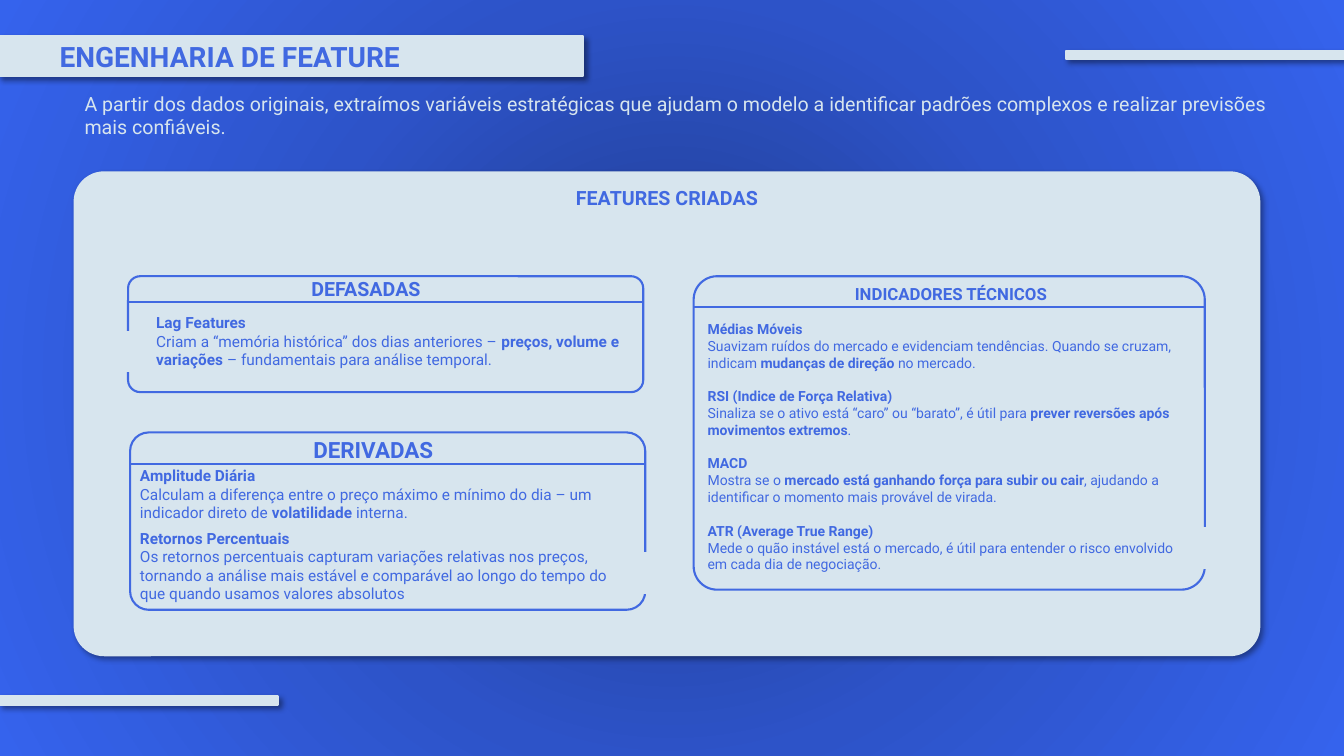
import pptx
import pptx.util
import pptx.dml.color
import pptx.enum.shapes
import pptx.enum.text
import pptx.oxml
import pptx.oxml.ns

Inches, Pt = pptx.util.Inches, pptx.util.Pt
Kind = pptx.enum.shapes.MSO_SHAPE
Align = pptx.enum.text.PP_ALIGN
Anchor = pptx.enum.text.MSO_ANCHOR
NS = pptx.oxml.ns.nsdecls("a")


class Theme:
    font = "Roboto"
    pale = pptx.dml.color.RGBColor.from_string("D7E5EE")
    blue = pptx.dml.color.RGBColor.from_string("4169E1")
    glow = [(0, "1F3B8C"), (50, "2D53C8"), (100, "3563ED")]
    title, lead, line = Pt(20), Pt(14), Pt(1.5)


SHADOW = (
    f'<a:effectLst {NS}><a:outerShdw blurRad="{Pt(4)}" dist="{Pt(3)}" dir="2700000" '
    'algn="tl" rotWithShape="0"><a:srgbClr val="000000"><a:alpha val="40000"/>'
    "</a:srgbClr></a:outerShdw></a:effectLst>"
)


def panel(kind, box, edge, round=None, shade=False):
    """Add a pale shape with the given edge colour and optional shadow."""
    shape = slide.shapes.add_shape(kind, *map(Inches, box))
    shape.fill.solid()
    shape.fill.fore_color.rgb = Theme.pale
    shape.line.color.rgb = edge
    shape.line.width = Theme.line
    if round:
        shape.adjustments[0] = round
    if shade:
        shape._element.spPr.append(pptx.oxml.parse_xml(SHADOW))
    else:
        shape.shadow.inherit = False
    return shape


def write(frame, lines, size, color=Theme.blue, gap=0, wrap=True):
    """Fill a frame; ** marks bold, and each bold line after the first gets a gap."""
    frame.word_wrap = wrap
    for i, line in enumerate(lines):
        para = frame.paragraphs[0] if i == 0 else frame.add_paragraph()
        para.font.name, para.font.size = Theme.font, size
        para.font.color.rgb = color
        if i and line.startswith("**"):
            para.space_before = Pt(gap)
        for j, part in enumerate(line.split("**")):
            if part:
                run = para.add_run()
                run.text = part
                run.font.bold = j % 2 == 1


deck = pptx.Presentation()
deck.slide_width, deck.slide_height = Inches(13.33), Inches(7.5)
slide = deck.slides.add_slide(deck.slide_layouts[5])

# Radial backdrop, placed behind the title
back = slide.shapes.add_shape(Kind.RECTANGLE, 0, 0, deck.slide_width, deck.slide_height)
back.line.fill.background()
back.shadow.inherit = False
stops = "".join(
    f'<a:gs pos="{pos * 1000}"><a:srgbClr val="{color}"/></a:gs>' for pos, color in Theme.glow
)
glow = pptx.oxml.parse_xml(
    f'<a:gradFill {NS} rotWithShape="1"><a:gsLst>{stops}</a:gsLst><a:path path="circle">'
    '<a:fillToRect l="50000" t="50000" r="50000" b="50000"/></a:path></a:gradFill>'
)
back._element.spPr.find(pptx.oxml.ns.qn("a:prstGeom")).addnext(glow)
slide.shapes._spTree.insert(2, back._element)

# Title banner
title = slide.shapes.title
title.left, title.top, title.width, title.height = map(Inches, (-0.01, 0.36, 5.79, 0.39))
title.fill.solid()
title.fill.fore_color.rgb = Theme.pale
title.line.color.rgb = Theme.pale
title.line.width = Theme.line
title._element.spPr.append(pptx.oxml.parse_xml(SHADOW))
frame = title.text_frame
frame.auto_size = pptx.enum.text.MSO_AUTO_SIZE.NONE
frame.vertical_anchor = Anchor.MIDDLE
frame.margin_left = Inches(0.6)
write(frame, ["**ENGENHARIA DE FEATURE**"], Theme.title)
frame.paragraphs[0].alignment = Align.LEFT

# Lead text, accent bars and main panel
lead = slide.shapes.add_textbox(*map(Inches, (0.74, 0.86, 12.2, 0.57)))
write(lead.text_frame, [
    "A partir dos dados originais, extraímos variáveis estratégicas que ajudam o modelo "
    "a identificar padrões complexos e realizar previsões mais confiáveis."
], Theme.lead, Theme.pale)
for left, top in ((10.57, 0.51), (0, 6.91)):
    panel(Kind.RECTANGLE, (left, top, 2.76, 0.08), Theme.pale, shade=True)
main = panel(Kind.ROUNDED_RECTANGLE, (0.74, 1.71, 11.75, 4.79), Theme.pale, 0.061, True)
main.text_frame.vertical_anchor = Anchor.TOP
write(main.text_frame, ["**FEATURES CRIADAS**"], Theme.lead)
main.text_frame.paragraphs[0].alignment = Align.CENTER

# Cards: box, corner, notch, rule height, (heading, box, size), texts (box, size, gap, lines)
cards = [
    ((1.27, 2.74, 5.11, 1.15), 0.105, (1.09, 3.29), 3.0,
     ("DEFASADAS", (2.99, 2.7, 1.32, 0.34), 14),
     [((1.45, 3.06, 4.93, 0.66), 11, 0, [
         "**Lag Features**",
         "Criam a “memória histórica” dos dias anteriores – **preços, volume e variações** "
         "– fundamentais para análise temporal."])]),
    ((1.29, 4.29, 5.11, 1.76), 0.105, (6.22, 5.49), 4.6,
     ("DERIVADAS", (3.01, 4.28, 1.45, 0.37), 16),
     [((1.29, 4.58, 5.07, 0.66), 11, 0, [
         "**Amplitude Diária**",
         "Calculam a diferença entre o preço máximo e mínimo do dia – um indicador direto "
         "de **volatilidade** interna."]),
      ((1.29, 5.2, 5.07, 0.84), 11, 0, [
          "**Retornos Percentuais**",
          "Os retornos percentuais capturam variações relativas nos preços, tornando a "
          "análise mais estável e comparável ao longo do tempo do que quando usamos "
          "valores absolutos"])]),
    ((6.88, 2.74, 5.07, 3.11), 0.075, (11.76, 5.24), 3.05,
     ("INDICADORES TÉCNICOS", (8.38, 2.77, 2.19, 0.3), 12),
     [((6.92, 3.13, 5, 2.63), 10, 12, [
         "**Médias Móveis**",
         "Suavizam ruídos do mercado e evidenciam tendências. Quando se cruzam, indicam "
         "**mudanças de direção** no mercado.",
         "**RSI (Indice de Força Relativa)**",
         "Sinaliza se o ativo está “caro” ou “barato”, é útil para **prever reversões após "
         "movimentos extremos**.",
         "**MACD**",
         "Mostra se o **mercado está ganhando força para subir ou cair**, ajudando a "
         "identificar o momento mais provável de virada.",
         "**ATR (Average True Range)**",
         "Mede o quão instável está o mercado, é útil para entender o risco envolvido em "
         "cada dia de negociação."])]),
]
for box, corner, notch, level, (name, place, size), texts in cards:
    panel(Kind.ROUNDED_RECTANGLE, box, Theme.blue, corner)
    panel(Kind.RECTANGLE, (*notch, 0.39, 0.39), Theme.pale)
    rule = slide.shapes.add_connector(
        pptx.enum.shapes.MSO_CONNECTOR.STRAIGHT,
        *map(Inches, (box[0], level, box[0] + box[2], level)))
    rule.line.color.rgb = Theme.blue
    rule.line.width = Theme.line
    rule._element.spPr.append(pptx.oxml.parse_xml(f"<a:effectLst {NS}/>"))
    head = slide.shapes.add_textbox(*map(Inches, place))
    write(head.text_frame, [f"**{name}**"], Pt(size), wrap=False)
    for area, size, gap, lines in texts:
        body = slide.shapes.add_textbox(*map(Inches, area))
        write(body.text_frame, lines, Pt(size), gap=gap)

deck.save("out.pptx")
